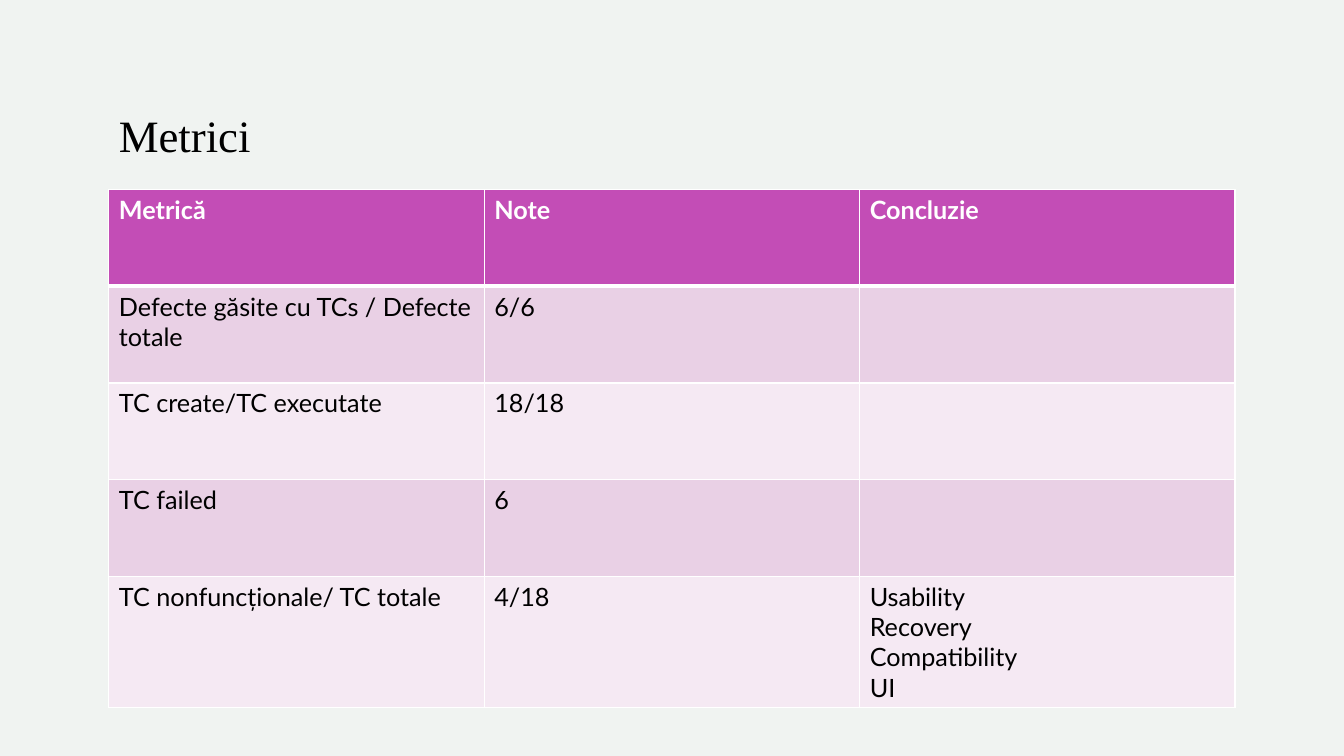
from lxml.etree import SubElement
from pptx import Presentation
from pptx.dml.color import RGBColor
from pptx.enum.text import MSO_ANCHOR
from pptx.oxml.ns import qn
from pptx.util import Inches, Pt

COLORS = {
    "background": "F0F3F1",
    "text": "000000",
    "white": "FFFFFF",
    "header": "C34DB6",
    "odd_row": "E9D0E5",
    "even_row": "F5E9F3",
}
ROW_HEIGHT = 0.96
METRICS = [
    ["Metrică", "Note", "Concluzie"],
    ["Defecte găsite cu TCs / Defecte totale", "6/6", ""],
    ["TC create/TC executate", "18/18", ""],
    ["TC failed", "6", ""],
    ["TC nonfuncționale/ TC totale", "4/18", "Usability\nRecovery\nCompatibility\nUI"],
]


def color(name):
    return RGBColor.from_string(COLORS[name])


def format_text(text_frame, font_name, size, color_name, bold=False):
    for paragraph in text_frame.paragraphs:
        for font in [paragraph.font] + [run.font for run in paragraph.runs]:
            font.name = font_name
            font.size = Pt(size)
            font.bold = bold
            font.color.rgb = color(color_name)


def set_borders(cell, widths):
    properties = cell._tc.get_or_add_tcPr()
    for index, (side, width) in enumerate(widths.items()):
        line = SubElement(properties, qn(f"a:ln{side}"), w=str(Pt(width)))
        fill = SubElement(line, qn("a:solidFill"))
        SubElement(fill, qn("a:srgbClr"), val=COLORS["white"])
        properties.insert(index, line)


def add_title(slide, left, top, width, height):
    title = slide.shapes.add_textbox(Inches(left), Inches(top), Inches(width), Inches(height))
    text_frame = title.text_frame
    text_frame.word_wrap = True
    text_frame.vertical_anchor = MSO_ANCHOR.BOTTOM
    text_frame.text = "Metrici"
    format_text(text_frame, "Times New Roman", 32, "text")


def add_metrics_table(slide, left, top, width):
    row_count, column_count = len(METRICS), len(METRICS[0])
    frame = slide.shapes.add_table(
        row_count, column_count, Inches(left), Inches(top),
        Inches(width), Inches(ROW_HEIGHT * row_count),
    )
    table = frame.table
    for row_index, values in enumerate(METRICS):
        is_header = row_index == 0
        fill_name = "header" if is_header else "odd_row" if row_index % 2 else "even_row"
        widths = {
            "L": 1,
            "R": 1,
            "T": 3 if row_index == 1 else 1,
            "B": 3 if is_header else 1,
        }
        for column_index, value in enumerate(values):
            cell = table.cell(row_index, column_index)
            cell.text_frame.text = value
            format_text(cell.text_frame, "Lato", 18, "white" if is_header else "text", is_header)
            cell.fill.solid()
            cell.fill.fore_color.rgb = color(fill_name)
            set_borders(cell, widths)


def add_metrics_slide(presentation):
    slide = presentation.slides.add_slide(presentation.slide_layouts[6])
    slide.background.fill.solid()
    slide.background.fill.fore_color.rgb = color("background")
    add_title(slide, 1.08, 0.43, 11.17, 1.22)
    add_metrics_table(slide, 1.08, 1.88, 11.17)


def main():
    presentation = Presentation()
    presentation.slide_width = Inches(13.33)
    presentation.slide_height = Inches(7.5)
    add_metrics_slide(presentation)
    presentation.save("out.pptx")


if __name__ == "__main__":
    main()
